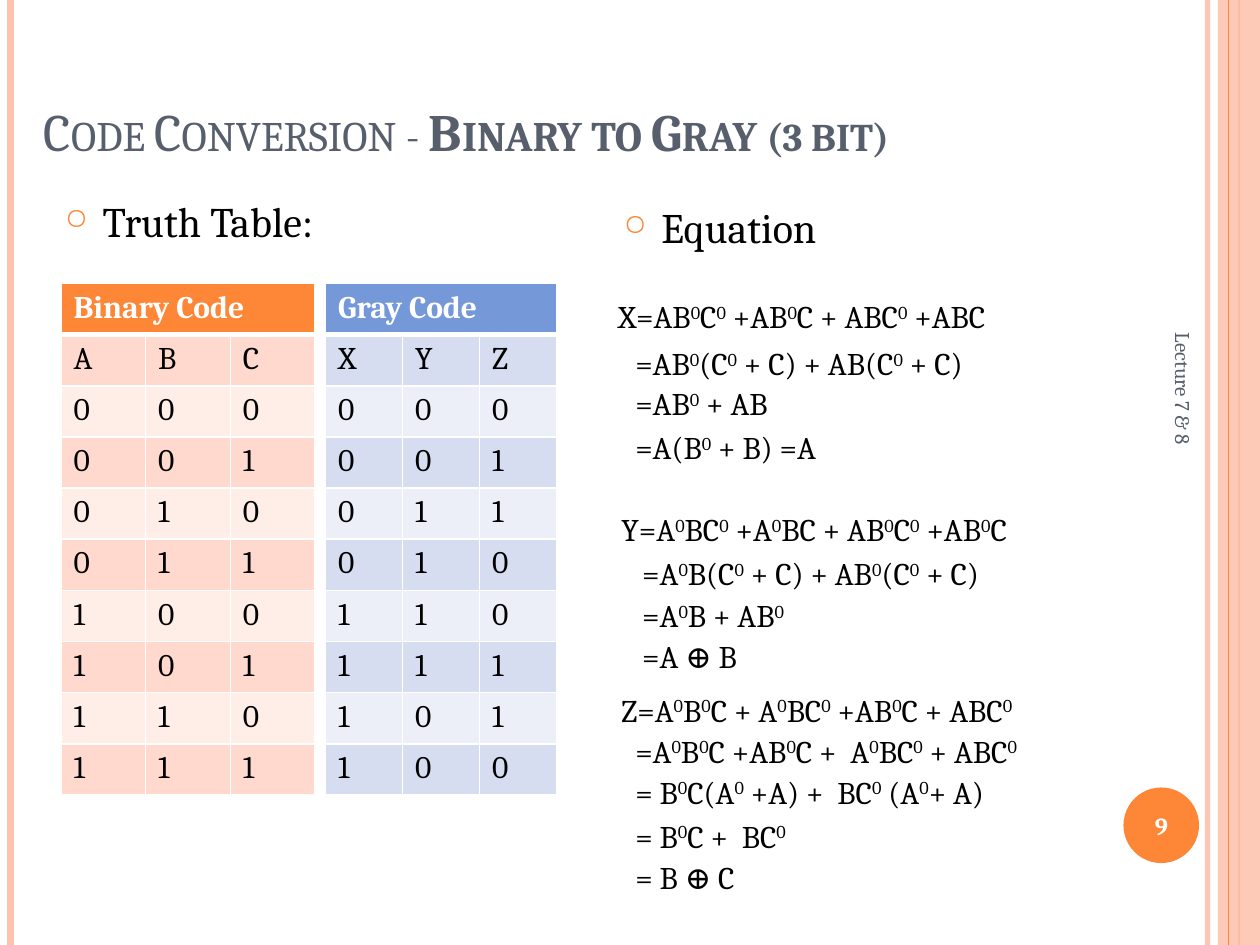
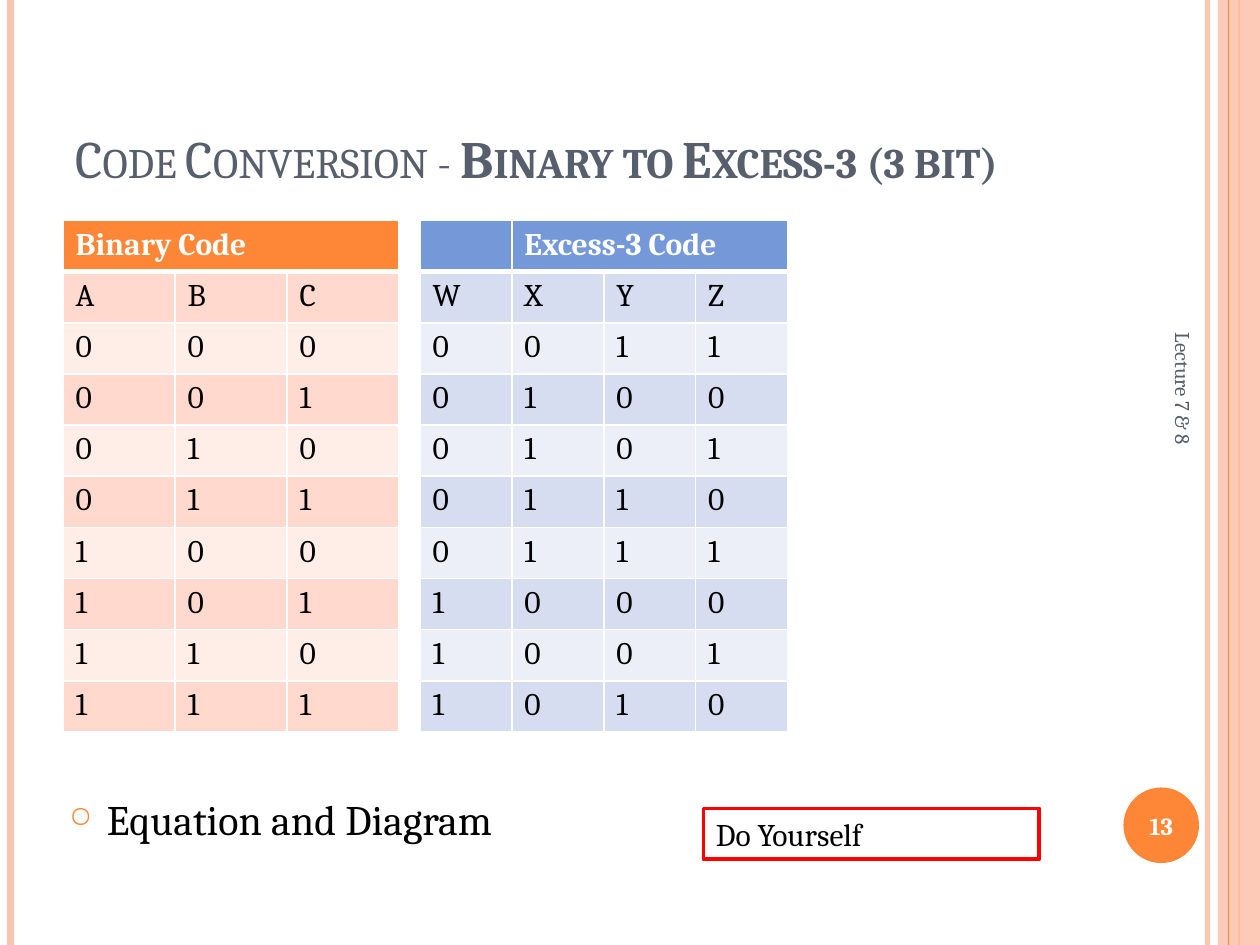
from itertools import groupby

from lxml.etree import SubElement
from pptx import Presentation
from pptx.dml.color import RGBColor
from pptx.enum.shapes import MSO_CONNECTOR, MSO_SHAPE
from pptx.enum.text import MSO_ANCHOR, PP_ALIGN
from pptx.oxml.ns import qn
from pptx.oxml.xmlchemy import OxmlElement
from pptx.util import Inches, Pt

COLUMNS, ROWS = 120, 90
UNIT = Inches(1) / 12
FONT = "Cambria"
ORANGE, PEACH, SLATE = "FE8637", "FEC3AE", "575F6D"
BLACK, WHITE, RED = "000000", "FFFFFF", "FF0000"
BINARY_SHADES = (ORANGE, "FFD9CE", "FFEDE8")
OUTPUT_SHADES = ("7598D9", "D6DDF1", "ECEFF8")
ROW_HEIGHT = 4.875
SPACE_WIDTH = 0.66
CODES = range(8)

EQUATIONS = [
    (27.7, 0, "X=AB⁰C⁰ +AB⁰C + ABC⁰ +ABC"),
    (32.2, 2, "=AB⁰(C⁰ + C) + AB(C⁰ + C)"),
    (36, 2, "=AB⁰ + AB"),
    (40.2, 2, "=A(B⁰ + B) =A"),
    (48, 0, "Y=A⁰BC⁰ +A⁰BC + AB⁰C⁰ +AB⁰C"),
    (52.2, 3, "=A⁰B(C⁰ + C) + AB⁰(C⁰ + C)"),
    (56.2, 3, "=A⁰B + AB⁰"),
    (60.1, 3, "=A ⊕ B"),
    (65.2, 0, "Z=A⁰B⁰C + A⁰BC⁰ +AB⁰C + ABC⁰"),
    (69.1, 2, "=A⁰B⁰C +AB⁰C +  A⁰BC⁰ + ABC⁰"),
    (73, 2, "= B⁰C(A⁰ +A) +  BC⁰ (A⁰+ A)"),
    (77.2, 2, "= B⁰C +  BC⁰"),
    (81.1, 2, "= B ⊕ C"),
]


def grid(*cells):
    return [round(cell * UNIT) for cell in cells]


def color(hex_code):
    return RGBColor.from_string(hex_code)


def paint(fill, hex_code, opacity=100):
    fill.solid()
    fill.fore_color.rgb = color(hex_code)
    if opacity < 100:
        tint = fill._xPr.find(".//" + qn("a:srgbClr"))
        SubElement(tint, qn("a:alpha"), val=str(opacity * 1000))


def set_font(font, size, hex_code, bold=False):
    font.name, font.size, font.bold = FONT, Pt(size), bold
    font.color.rgb = color(hex_code)


def add_text(slide, area, text, size, hex_code=BLACK, bold=False,
             anchor=MSO_ANCHOR.TOP, align=PP_ALIGN.LEFT):
    box = slide.shapes.add_textbox(*grid(*area))
    box.text_frame.word_wrap = True
    box.text_frame.vertical_anchor = anchor
    paragraph = box.text_frame.paragraphs[0]
    paragraph.alignment = align
    set_font(paragraph.font, size, hex_code, bold)
    if text:
        paragraph.add_run().text = text
    return box, paragraph


def add_stripe(slide, column, hex_code, width, opacity=100):
    x, bottom = grid(column, ROWS)
    stripe = slide.shapes.add_connector(MSO_CONNECTOR.STRAIGHT, x, 0, x, bottom)
    paint(stripe.line.fill, hex_code, opacity)
    stripe.line.width = Pt(width)
    SubElement(stripe._element.spPr, qn("a:effectLst"))


def add_block(slide, preset, area, hex_code, opacity=100):
    block = slide.shapes.add_shape(preset, *grid(*area))
    block.shadow.inherit = False
    paint(block.fill, hex_code, opacity)
    block.line.fill.background()


def add_frame(slide, number):
    add_stripe(slide, 115, PEACH, 3, 93)
    add_stripe(slide, 1, PEACH, 4.5)
    add_stripe(slide, 118, ORANGE, 1.5)
    add_block(slide, MSO_SHAPE.RECTANGLE, (116, 0, COLUMNS - 116, ROWS), PEACH, 87)
    add_stripe(slide, 117, ORANGE, 0.75)
    add_block(slide, MSO_SHAPE.OVAL, (107, 75, 7.2, 7.2), ORANGE)
    footer, _ = add_text(slide, (91.7, 49.1, 42, 4.8), "Lecture 7 & 8", 12, SLATE,
                         anchor=MSO_ANCHOR.MIDDLE)
    footer.rotation = 90
    add_text(slide, (106.6, 75.2, 8, 6.8), str(number), 14, WHITE, True,
             MSO_ANCHOR.MIDDLE, PP_ALIGN.CENTER)


def add_title(slide, area, *bold_parts):
    _, paragraph = add_text(slide, area, "", 30, SLATE, anchor=MSO_ANCHOR.BOTTOM)
    for text, size, bold in [("Code Conversion - ", 30, False),
                             *((text, size, True) for text, size in bold_parts)]:
        run = paragraph.add_run()
        run.text = text
        set_font(run.font, size, SLATE, bold)
        run._r.get_or_add_rPr().set("cap", "small")


def add_bullet(slide, area, text):
    _, paragraph = add_text(slide, area, text, 24)
    paragraph.space_before = Pt(6)
    properties = paragraph._p.get_or_add_pPr()
    indent = Inches(0.3)
    properties.set("marL", str(indent))
    properties.set("indent", str(-indent))
    marks = []
    for tag, value in (("buClr", None), ("buSzPct", "70000"), ("buChar", "○")):
        mark = OxmlElement("a:" + tag)
        if tag == "buClr":
            SubElement(mark, qn("a:srgbClr"), val=ORANGE)
        else:
            mark.set("char" if tag == "buChar" else "val", value)
        marks.append(mark)
    position = list(properties).index(properties.find(qn("a:spcBef"))) + 1
    for offset, mark in enumerate(marks):
        properties.insert(position + offset, mark)


def add_equation(slide, row, spaces, text):
    column = 58 if row > 28 else 57.7
    _, paragraph = add_text(slide, (column + spaces * SPACE_WIDTH, row, 50, 4.8), "", 18)
    for raised, letters in groupby(text, lambda letter: letter == "⁰"):
        run = paragraph.add_run()
        run.text = "".join(letters).replace("⁰", "0")
        if raised:
            run._r.get_or_add_rPr().set("baseline", "30000")


def add_borders(cell, top, bottom):
    properties = cell._tc.get_or_add_tcPr()
    for index, (side, width) in enumerate(zip("LRTB", (1, 1, top, bottom))):
        border = OxmlElement("a:ln" + side)
        border.set("w", str(Pt(width)))
        ink = SubElement(border, qn("a:solidFill"))
        SubElement(ink, qn("a:srgbClr"), val=WHITE)
        properties.insert(index, border)


def add_code_table(slide, left, top, width, heading, letters, values, shades):
    count = len(letters)
    digits = [format(value, f"0{count}b") for value in values]
    heading_column = count - 3
    headings = [""] * heading_column + [heading, "", ""]
    lines = [headings, letters, *digits]
    table = slide.shapes.add_table(
        len(lines), count, *grid(left, top, width, ROW_HEIGHT * len(lines))).table
    table.first_row = table.horz_banding = False
    for column in table.columns:
        column.width = grid(width / count)[0]
    header_shade, *bands = shades
    for row, line in enumerate(lines):
        for column, text in enumerate(line):
            cell = table.cell(row, column)
            cell.text = text
            paint(cell.fill, bands[(row - 1) % 2] if row else header_shade)
            add_borders(cell, 3 if row == 1 else 1, 1 if row else 3)
            set_font(cell.text_frame.paragraphs[0].font, 18,
                     BLACK if row else WHITE, row == 0)
    table.cell(0, heading_column).merge(table.cell(0, count - 1))


def add_gray_slide(slide):
    add_frame(slide, 9)
    add_title(slide, (3, 1, 108, 15), ("Binary to Gray ", 30), ("(3 bit)", 28))
    add_code_table(slide, 5.8, 27, 24.2, "Binary Code", "ABC", CODES, BINARY_SHADES)
    gray_codes = [code ^ code >> 1 for code in CODES]
    add_code_table(slide, 31, 27, 22, "Gray Code", "XYZ", gray_codes, OUTPUT_SHADES)
    add_bullet(slide, (58.2, 18.6, 50, 8), "Equation")
    add_bullet(slide, (5, 18, 31, 8), "Truth Table:")
    for equation in EQUATIONS:
        add_equation(slide, *equation)


def add_excess_slide(slide):
    add_frame(slide, 13)
    add_title(slide, (6, 3.6, 98, 15), ("Binary to Excess-3 (3 bit)", 30))
    add_code_table(slide, 6, 21, 32, "Binary Code", "ABC", CODES, BINARY_SHADES)
    excess_codes = [code + 3 for code in CODES]
    add_code_table(slide, 40, 21, 35, "Excess-3 Code", "WXYZ", excess_codes, OUTPUT_SHADES)
    add_bullet(slide, (5.4, 75, 98, 8), "Equation and Diagram")
    task, _ = add_text(slide, (67, 77, 32, 4.85), "Do Yourself", 18)
    paint(task.line.fill, RED)
    task.line.width = Pt(2.25)


def main():
    deck = Presentation()
    deck.slide_width, deck.slide_height = grid(COLUMNS, ROWS)
    blank = deck.slide_layouts[6]
    for build in (add_gray_slide, add_excess_slide):
        build(deck.slides.add_slide(blank))
    deck.save("out.pptx")


if __name__ == "__main__":
    main()
